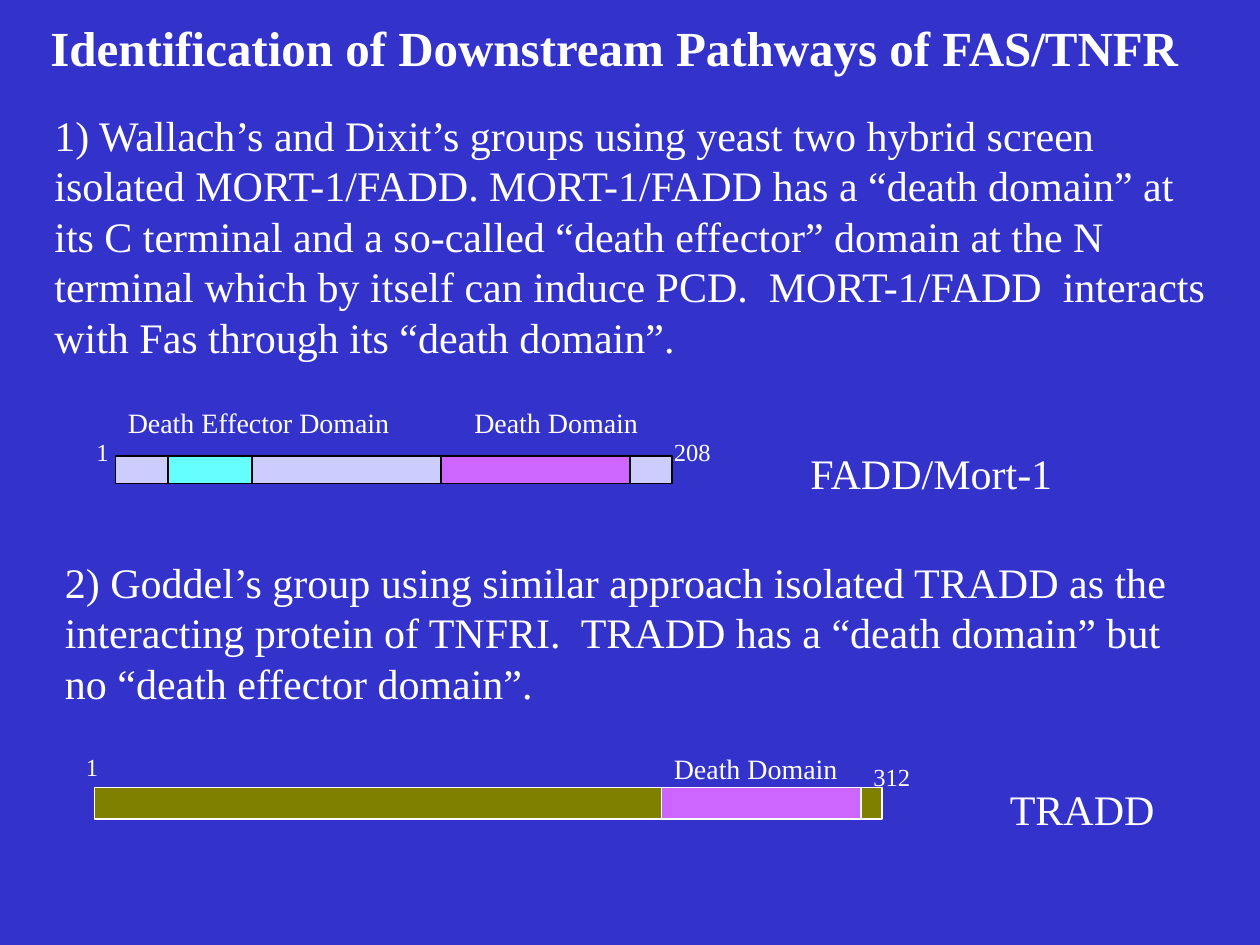
from pptx import Presentation
from pptx.dml.color import RGBColor
from pptx.enum.shapes import MSO_SHAPE
from pptx.enum.text import MSO_ANCHOR, MSO_AUTO_SIZE as AutoSize, PP_ALIGN
from pptx.util import Pt

FONT = "Times New Roman"
WHITE, BLACK = "FFFFFF", "000000"
LAVENDER, PURPLE, CYAN, OLIVE = "CCCCFF", "CC66FF", "66FFFF", "808000"
color = RGBColor.from_string


def write(paragraph, text, size, bold=False):
    run = paragraph.add_run()
    run.text = text
    run.font.name = FONT
    run.font.size = Pt(size)
    run.font.bold = bold
    run.font.color.rgb = color(WHITE)


presentation = Presentation()
presentation.slide_width, presentation.slide_height = Pt(720), Pt(540)
slide = presentation.slides.add_slide(presentation.slide_layouts[5])
slide.background.fill.solid()
slide.background.fill.fore_color.rgb = color("3333CC")

# Title
title = slide.shapes.title
title.left, title.top, title.width, title.height = Pt(12), Pt(6), Pt(678), Pt(42)
title.text_frame.auto_size = AutoSize.NONE
title.text_frame.vertical_anchor = MSO_ANCHOR.MIDDLE
title.text_frame.paragraphs[0].alignment = PP_ALIGN.CENTER
write(title.text_frame.paragraphs[0],
      "Identification of Downstream Pathways of FAS/TNFR", 28, bold=True)

# Each protein: bars are left, width, fill; texts are text, size, left, top, width, height, wrap
fadd = {
    "outline": BLACK, "bar_top": 260.6, "bar_height": 15.6,
    "bars": [(66, 318, LAVENDER), (252, 108, PURPLE), (96, 48, CYAN)],
    "texts": [
        ("1) Wallach’s and Dixit’s groups using yeast two hybrid screen isolated "
         "MORT-1/FADD. MORT-1/FADD has a “death domain” at its C terminal and a "
         "so-called “death effector” domain at the N terminal which by itself can "
         "induce PCD.  MORT-1/FADD  interacts with Fas through its “death domain”.",
         24, 24, 59, 678, 151, True),
        ("Death Domain", 16, 264, 228, 114, 26.5, False),
        ("Death Effector Domain", 16, 66, 228, 174, 26.5, False),
        ("FADD/Mort-1", 24, 456, 252, 161, 36, False),
        ("1", 14, 48, 246, 21.5, 24, False),
        ("208", 14, 378, 246, 35.5, 24, False),
    ],
}
tradd = {
    "outline": WHITE, "bar_top": 450, "bar_height": 18,
    "bars": [(54, 450, OLIVE), (378, 114, PURPLE)],
    "texts": [
        ("2) Goddel’s group using similar approach isolated TRADD as the "
         "interacting protein of TNFRI.  TRADD has a “death domain” but no "
         "“death effector domain”.",
         24, 30, 314.5, 666, 93.5, True),
        ("TRADD", 24, 570, 444, 100, 36, False),
        ("Death Domain", 16, 378, 426, 114, 26.5, False),
        ("312", 14, 492, 432, 35.5, 24, False),
        ("1", 14, 42, 426, 21.5, 24, False),
    ],
}

for protein in (fadd, tradd):
    group = slide.shapes.add_group_shape()

    # Domain bars
    for left, width, fill in protein["bars"]:
        bar = group.shapes.add_shape(MSO_SHAPE.RECTANGLE, Pt(left), Pt(protein["bar_top"]),
                                     Pt(width), Pt(protein["bar_height"]))
        bar.shadow.inherit = False
        bar.fill.solid()
        bar.fill.fore_color.rgb = color(fill)
        bar.line.color.rgb = color(protein["outline"])
        bar.line.width = Pt(0.75)

    # Description, labels and residue numbers
    for text, size, left, top, width, height, wrap in protein["texts"]:
        box = group.shapes.add_textbox(Pt(left), Pt(top), Pt(width), Pt(height))
        box.text_frame.word_wrap = wrap
        box.text_frame.auto_size = AutoSize.SHAPE_TO_FIT_TEXT
        write(box.text_frame.paragraphs[0], text, size)

presentation.save("out.pptx")
